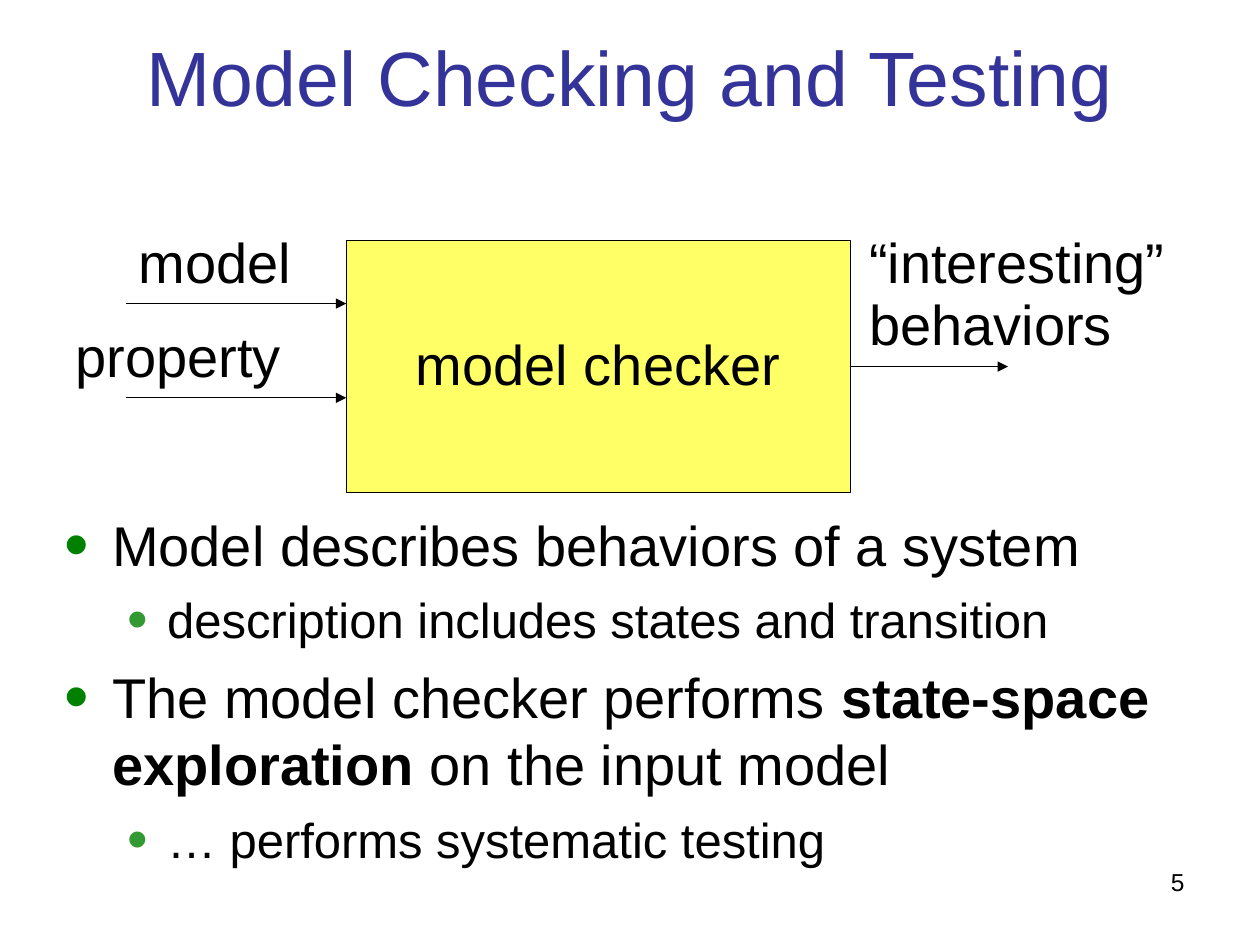
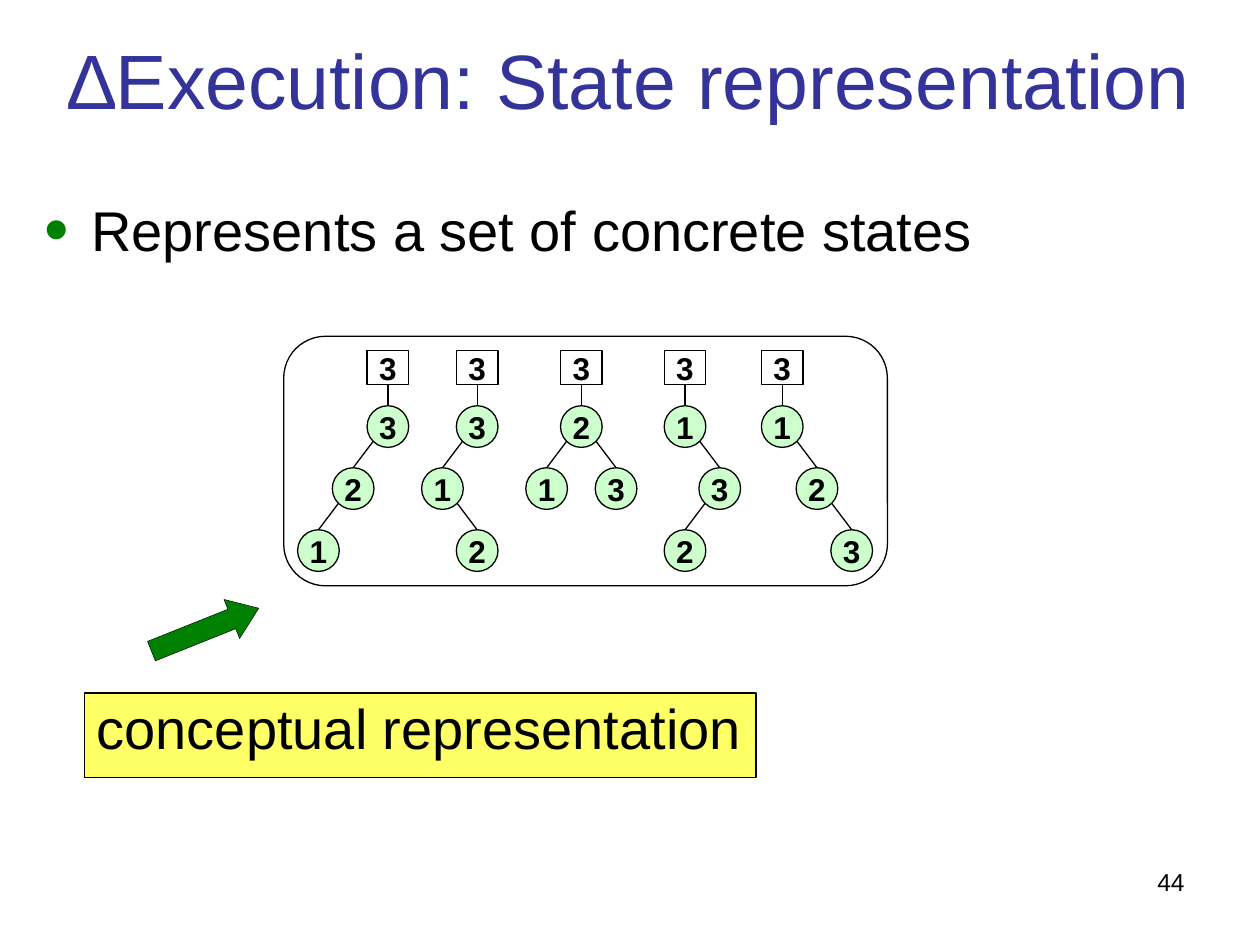
from lxml import etree
from pptx import Presentation
from pptx.dml.color import RGBColor
from pptx.enum import shapes as kinds, text as txt
from pptx.oxml.ns import qn
from pptx.util import Cm, Pt

COLORS = {
    "title": "333399",
    "ink": "000000",
    "highlight": "FFFF66",
    "node": "CCFFCC",
    "arrow": "008000",
    "bullet": "008000",
    "sub_bullet": "339933",
}
FONT = "Arial"
SLIDE_W, SLIDE_H = 25.4, 19.05
INSETS = {"margin_left": Cm(0.25), "margin_right": Cm(0.25),
          "margin_top": Cm(0.13), "margin_bottom": Cm(0.13)}
LEFT, CENTER, RIGHT = (txt.PP_ALIGN.LEFT, txt.PP_ALIGN.CENTER, txt.PP_ALIGN.RIGHT)
TOP, MIDDLE = txt.MSO_ANCHOR.TOP, txt.MSO_ANCHOR.MIDDLE
TIGHT = 0.93

# Per outline level: text size, space before, indent, bullet colour and bullet size
LEVELS = [
    {"size": 32, "before": 8, "margin": 0.95, "hang": 0.95,
     "color": "bullet", "percent": 125},
    {"size": 28, "before": 7, "margin": 2.06, "hang": 0.79,
     "color": "sub_bullet", "percent": 120},
]

# Turns taken from the root (L or R) -> value held by that node
TREES = [
    (1.68, {"": 3, "L": 2, "LL": 1}),
    (3.48, {"": 3, "L": 1, "LR": 2}),
    (5.58, {"": 2, "L": 1, "R": 3}),
    (7.67, {"": 1, "R": 3, "RL": 2}),
    (9.63, {"": 1, "R": 2, "RR": 3}),
]
NODE = 0.84
COLUMN_STEP, LEVEL_STEP = 0.7, 1.25
COUNT_TOP, COUNT_H, ROOT_TOP = 0.28, 0.7, 1.4
RIM = NODE / 2 * 0.707  # centre to the diagonal point of a node's rim


def rgb(name):
    return RGBColor.from_string(COLORS[name])


def apply(target, values):
    for name, value in values.items():
        setattr(target, name, value)


def add_run(paragraph, wording, size, color="ink", bold=False):
    run = paragraph.add_run()
    run.text = wording
    apply(run.font, {"name": FONT, "size": Pt(size), "bold": bold})
    run.font.color.rgb = rgb(color)


def write(shape, wording, size=32, color="ink", bold=False, align=LEFT,
          anchor=TOP, spacing=None, wrap=True):
    """Fill a shape with one paragraph per line of the wording."""
    frame = shape.text_frame
    apply(frame, {**INSETS, "word_wrap": wrap, "vertical_anchor": anchor})
    for index, line in enumerate(wording.split("\n")):
        paragraph = frame.add_paragraph() if index else frame.paragraphs[0]
        apply(paragraph, {"alignment": align, "line_spacing": spacing})
        add_run(paragraph, line, size, color, bold)


def add_label(slide, box, wording, **style):
    write(slide.shapes.add_textbox(*map(Cm, box)), wording, **style)


def add_box(parent, kind, box, fill=None, line_width=0.75):
    shape = parent.shapes.add_shape(kind, *map(Cm, box))
    shape.shadow.inherit = False
    if fill:
        shape.fill.solid()
        shape.fill.fore_color.rgb = rgb(fill)
    else:
        shape.fill.background()
    shape.line.color.rgb = rgb("ink")
    shape.line.width = Pt(line_width)
    return shape


def add_line(parent, start, end, arrowhead=False):
    line = parent.shapes.add_connector(
        kinds.MSO_CONNECTOR.STRAIGHT, *map(Cm, (*start, *end)))
    line.line.color.rgb = rgb("ink")
    line.line.width = Pt(0.75)
    properties = line._element.spPr
    if arrowhead:
        etree.SubElement(properties.find(qn("a:ln")), qn("a:tailEnd"), type="triangle")
    etree.SubElement(properties, qn("a:effectLst"))


def add_bullet(paragraph, level):
    properties = paragraph._p.get_or_add_pPr()
    properties.set("marL", str(Cm(level["margin"])))
    properties.set("indent", str(-Cm(level["hang"])))
    color = etree.SubElement(properties, qn("a:buClr"))
    etree.SubElement(color, qn("a:srgbClr"), val=COLORS[level["color"]])
    etree.SubElement(properties, qn("a:buSzPct"), val=str(level["percent"] * 1000))
    etree.SubElement(properties, qn("a:buFont"), typeface=FONT)
    etree.SubElement(properties, qn("a:buChar"), char="•")


def add_outline(slide, box, points):
    """Write (level, runs) points as bullets; every second run is bold."""
    frame = slide.shapes.add_textbox(*map(Cm, box)).text_frame
    apply(frame, {**INSETS, "word_wrap": True})
    for index, (depth, runs) in enumerate(points):
        level = LEVELS[depth]
        paragraph = frame.add_paragraph() if index else frame.paragraphs[0]
        add_bullet(paragraph, level)
        apply(paragraph, {"level": depth,
                          "space_before": Pt(level["before"] if index else 0)})
        for position, wording in enumerate(runs):
            add_run(paragraph, wording, level["size"], bold=position % 2 == 1)


def add_titled_slide(deck, heading, number, spacing=None):
    slide = deck.slides.add_slide(deck.slide_layouts[5])
    title = slide.shapes.title
    apply(title, {"left": 0, "top": 0, "width": Cm(SLIDE_W), "height": Cm(3.18)})
    write(title, heading, size=44, color="title", align=CENTER, anchor=MIDDLE,
          spacing=spacing)
    add_label(slide, (18.21, 17.35, 5.92, 1.32), number, size=14, align=RIGHT)
    return slide


def add_checker_diagram(slide, left, top, width, height):
    """Draw the checker in the given box, with its inputs and output beside it."""
    checker = add_box(slide, kinds.MSO_SHAPE.RECTANGLE, (left, top, width, height),
                      "highlight")
    write(checker, "model checker", align=CENTER, anchor=MIDDLE, spacing=TIGHT,
          wrap=False)

    input_x = left - 4.44
    for row, (wording, shift) in enumerate([("model", 0), ("property", -1.27)]):
        y = top + 1.27 + row * 1.9
        add_line(slide, (input_x, y), (left, y), arrowhead=True)
        add_label(slide, (input_x + shift, y - 1.55, 5.2, 1.57), wording, spacing=TIGHT)

    right, middle = left + width, top + height / 2
    add_line(slide, (right, middle), (right + 3.18, middle), arrowhead=True)
    add_label(slide, (right + 0.13, middle - 2.82, 8.13, 2.82),
              "“interesting”\nbehaviors", spacing=TIGHT)


def add_tree(group, left, top, values):
    """Draw a node-count box whose left edge is given, and the tree below it."""
    digit = {"size": 18, "bold": True, "align": CENTER, "anchor": MIDDLE, "wrap": False}
    root_x, root_top = left + NODE / 2, top + ROOT_TOP
    count = add_box(group, kinds.MSO_SHAPE.RECTANGLE,
                    (left, top + COUNT_TOP, NODE, COUNT_H))
    write(count, str(len(values)), **digit)
    add_line(group, (root_x, top + COUNT_TOP + COUNT_H), (root_x, root_top))

    def top_point(turns):
        column = turns.count("R") - turns.count("L")
        return root_x + column * COLUMN_STEP, root_top + len(turns) * LEVEL_STEP

    for turns, value in values.items():
        x, y = top_point(turns)
        node = add_box(group, kinds.MSO_SHAPE.OVAL, (x - NODE / 2, y, NODE, NODE), "node")
        write(node, str(value), **digit)
        if turns:
            parent_x, parent_y = top_point(turns[:-1])
            side = RIM if turns[-1] == "R" else -RIM
            add_line(group, (parent_x + side, parent_y + NODE / 2 + RIM), (x, y))


def add_state_set(slide, left, top, width, height):
    group = slide.shapes.add_group_shape()
    border = add_box(group, kinds.MSO_SHAPE.ROUNDED_RECTANGLE, (left, top, width, height))
    border.adjustments[0] = 0.167
    for offset, values in TREES:
        add_tree(group, left + offset, top, values)


def add_caption(slide, left, top, width, height):
    """Place the highlighted caption and the arrow that rises from it."""
    caption = add_box(slide, kinds.MSO_SHAPE.RECTANGLE, (left, top, width, height),
                      "highlight")
    write(caption, "conceptual representation", spacing=TIGHT)
    pointer = add_box(slide, kinds.MSO_SHAPE.RIGHT_ARROW,
                      (left + 1.27, top - 1.7, 2.33, 0.85), "arrow", line_width=0.25)
    pointer.rotation = 338.2
    pointer.adjustments[1] = 0.688


def build_model_checking(deck):
    slide = add_titled_slide(deck, "Model Checking and Testing", "5", spacing=0.98)
    add_checker_diagram(slide, 6.98, 4.85, 10.16, 5.08)
    add_outline(slide, (1.06, 10.16, 22.86, 9.4 - 0.55), [
        (0, ["Model describes behaviors of a system"]),
        (1, ["description includes states and transition"]),
        (0, ["The model checker performs ", "state-space exploration",
             " on the input model"]),
        (1, ["… performs systematic testing"]),
    ])


def build_state_representation(deck):
    slide = add_titled_slide(deck, "∆Execution: State representation", "44")
    add_outline(slide, (0.64, 3.81, 24.13, 12.57),
                [(0, ["Represents a set of concrete states"])])
    add_state_set(slide, 5.72, 6.78, 12.17, 5.03)
    add_caption(slide, 1.7, 13.97, 13.54, 1.7)


def main():
    deck = Presentation()
    apply(deck, {"slide_width": Cm(SLIDE_W), "slide_height": Cm(SLIDE_H)})
    build_model_checking(deck)
    build_state_representation(deck)
    deck.save("out.pptx")


if __name__ == "__main__":
    main()
